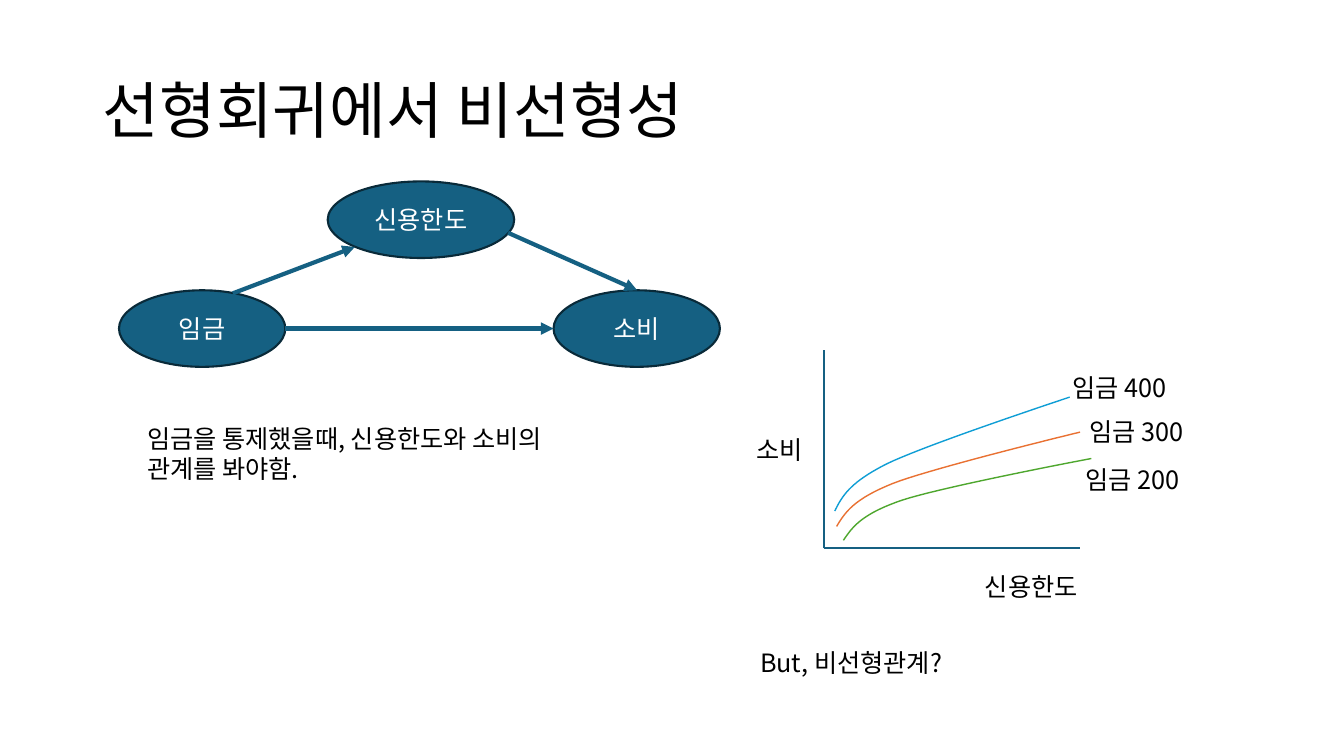
from dataclasses import dataclass
from math import cos, radians, sin

from lxml.etree import SubElement
from pptx import Presentation
from pptx.dml.color import RGBColor
from pptx.enum.shapes import MSO_CONNECTOR, MSO_SHAPE
from pptx.enum.text import MSO_ANCHOR, MSO_AUTO_SIZE, PP_ALIGN
from pptx.oxml.ns import qn
from pptx.util import Inches, Pt


@dataclass(frozen=True)
class Theme:
    font: str = "Noto Sans CJK KR"
    ink: str = "000000"
    paper: str = "FFFFFF"
    node: str = "156082"
    node_edge: str = "092A39"
    high_wage: str = "0F9ED5"
    middle_wage: str = "E97132"
    low_wage: str = "4EA72E"
    title_size: int = 44
    body_size: int = 18
    arrow_width: float = 3
    edge_width: float = 1.5
    curve_width: float = 1


def bezier(start, first, second, end, steps=20):
    for step in range(1, steps + 1):
        t = step / steps
        weights = ((1 - t) ** 3, 3 * t * (1 - t) ** 2, 3 * t * t * (1 - t), t ** 3)
        points = (start, first, second, end)
        yield tuple(sum(w * p[axis] for w, p in zip(weights, points)) for axis in (0, 1))


class SlideBuilder:
    rows = 75

    def __init__(self, deck, theme):
        self.theme = theme
        self.cell = deck.slide_height / self.rows
        self.page = deck.slides.add_slide(deck.slide_layouts[5])

    def grid(self, *lengths):
        return [round(length * self.cell) for length in lengths]

    def apply(self, target, values):
        for name, value in values.items():
            setattr(target, name, value)

    def fill_text(self, frame, lines, size, color, paragraph_format, frame_format):
        self.apply(frame, {"word_wrap": True, **frame_format})
        for index, line in enumerate(lines):
            para = frame.add_paragraph() if index else frame.paragraphs[0]
            self.apply(para, paragraph_format)
            span = para.add_run()
            span.text = line
            self.apply(span.font, {"name": self.theme.font, "size": Pt(size)})
            span.font.color.rgb = RGBColor.from_string(color)
            SubElement(span.font._element, qn("a:ea"), typeface=self.theme.font)

    def stroke(self, shape, color, width):
        shape.line.color.rgb = RGBColor.from_string(color)
        shape.line.width = Pt(width)

    def title(self, text, *place):
        box = self.page.shapes.title
        self.apply(box, dict(zip(("left", "top", "width", "height"), self.grid(*place))))
        self.fill_text(box.text_frame, [text], self.theme.title_size, self.theme.ink,
                       {"alignment": PP_ALIGN.LEFT, "line_spacing": 0.9},
                       {"vertical_anchor": MSO_ANCHOR.MIDDLE, "auto_size": MSO_AUTO_SIZE.NONE})

    def label(self, lines, *place):
        box = self.page.shapes.add_textbox(*self.grid(*place))
        self.fill_text(box.text_frame, lines, self.theme.body_size, self.theme.ink,
                       {"alignment": PP_ALIGN.LEFT},
                       {"auto_size": MSO_AUTO_SIZE.SHAPE_TO_FIT_TEXT})

    def node(self, text, *place):
        oval = self.page.shapes.add_shape(MSO_SHAPE.OVAL, *self.grid(*place))
        oval.shadow.inherit = False
        oval.fill.solid()
        oval.fill.fore_color.rgb = RGBColor.from_string(self.theme.node)
        self.stroke(oval, self.theme.node_edge, self.theme.edge_width)
        self.fill_text(oval.text_frame, [text], self.theme.body_size, self.theme.paper,
                       {"alignment": PP_ALIGN.CENTER}, {"vertical_anchor": MSO_ANCHOR.MIDDLE})

    def line(self, start, end, width, arrow=False):
        connector = self.page.shapes.add_connector(
            MSO_CONNECTOR.STRAIGHT, *self.grid(*start, *end))
        self.stroke(connector, self.theme.node, width)
        if arrow:
            SubElement(connector._element.spPr.find(qn("a:ln")), qn("a:tailEnd"), type="triangle")
        SubElement(connector._element.spPr, qn("a:effectLst"))

    def curve(self, left, top, angle, color):
        width, height = 23.3, 11.3
        start, bend, end = (0, height), (5.2, 6.6), (width, 0)
        outline = [start,
                   *bezier(start, (0.7, 9.9), (1.4, 8.5), bend),
                   *bezier(bend, (9.1, 4.7), end, end)]
        turn = radians(angle)
        points = []
        for x, y in outline:
            dx, dy = x - width / 2, y - height / 2
            points.append(self.grid(left + width / 2 + dx * cos(turn) - dy * sin(turn),
                                    top + height / 2 + dx * sin(turn) + dy * cos(turn)))
        builder = self.page.shapes.build_freeform(*points[0])
        builder.add_line_segments(points[1:], close=False)
        shape = builder.convert_to_shape()
        shape.shadow.inherit = False
        shape.fill.background()
        self.stroke(shape, color, self.theme.curve_width)


def main():
    theme = Theme()
    deck = Presentation()
    deck.slide_width, deck.slide_height = Inches(13.33), Inches(7.5)
    slide = SlideBuilder(deck, theme)

    slide.title("선형회귀에서 비선형성", 9.2, 4, 115, 14.5)

    for text, left, top, width in (("임금", 11.8, 28.8, 16.5),
                                   ("소비", 54.9, 28.8, 16.5),
                                   ("신용한도", 32.5, 18, 18.5)):
        slide.node(text, left, top, width, 7.6)
    for start, end in (((28.3, 32.6), (54.9, 32.6)),
                       ((23.1, 29.1), (35.2, 24.5)),
                       ((50.4, 23.1), (63.2, 28.8))):
        slide.line(start, end, theme.arrow_width, arrow=True)

    slide.label(["임금을 통제했을때, 신용한도와 소비의", "관계를 봐야함."], 13.6, 41.5, 48.9, 7.1)

    origin = (81.7, 54.4)
    for end in ((81.7, 34.7), (107.1, 54.4)):
        slide.line(origin, end, theme.edge_width)
    for left, top, angle, color in ((83.4, 41.9, 4.7, theme.middle_wage),
                                    (84.3, 43.9, 7.6, theme.low_wage),
                                    (82.8, 39.4, 0, theme.high_wage)):
        slide.curve(left, top, angle, color)

    for text, left, top, width in (("신용한도", 96.7, 56.2, 14.8),
                                   ("소비", 74, 42.6, 8.9),
                                   ("임금 400", 105.4, 36.4, 16.1),
                                   ("임금 300", 107.1, 40.8, 16.1),
                                   ("임금 200", 106.7, 45.6, 16.1),
                                   ("But, 비선형관계?", 74.4, 63.7, 53.3)):
        slide.label([text], left, top, width, 4)

    deck.save("out.pptx")


if __name__ == "__main__":
    main()
